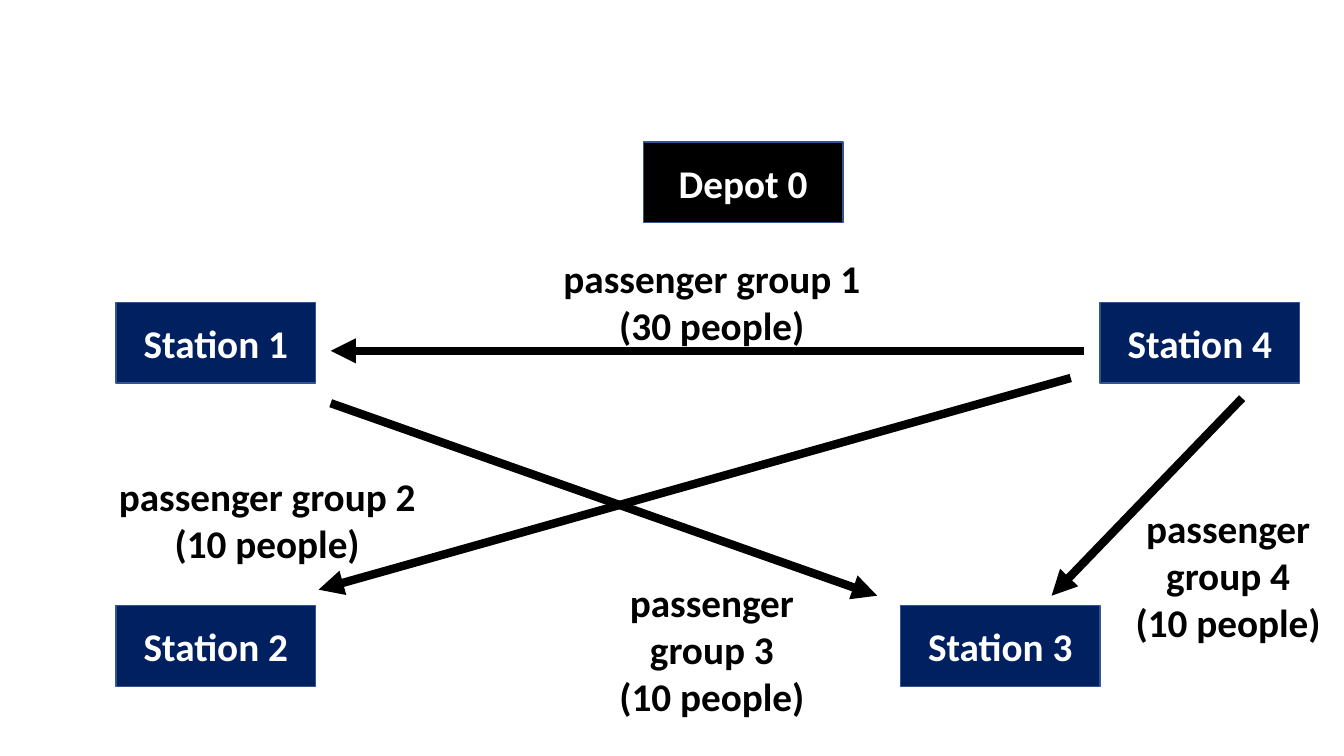
from lxml import etree
from pptx import Presentation
from pptx.dml.color import RGBColor
from pptx.enum.shapes import MSO_CONNECTOR, MSO_SHAPE
from pptx.enum.text import MSO_ANCHOR, MSO_AUTO_SIZE, PP_ALIGN
from pptx.oxml.ns import qn
from pptx.util import Pt

PX = 9144
FONT = "Calibri"
RECT = MSO_SHAPE.RECTANGLE
LINE = MSO_CONNECTOR.STRAIGHT
MID = MSO_ANCHOR.MIDDLE
GROW = MSO_AUTO_SIZE.SHAPE_TO_FIT_TEXT
CENTER = PP_ALIGN.CENTER

NAVY = RGBColor(0x00, 0x20, 0x60)
BLUE = RGBColor(0x32, 0x54, 0x91)
BLACK = RGBColor(0x00, 0x00, 0x00)
WHITE = RGBColor(0xFF, 0xFF, 0xFF)

BOX_W, BOX_H = 198, 80
LEFT, RIGHT = 115, 1091
UPPER, LOWER = 300, 601

STOPS = [
    ("Station 1", LEFT, UPPER, NAVY),
    ("Station 2", LEFT, LOWER, NAVY),
    ("Depot 0", 638, 141, BLACK),
    ("Station 4", RIGHT, UPPER, NAVY),
    ("Station 3", RIGHT - BOX_W, LOWER, NAVY),
]
TRIPS = [
    (1075, 348, 328, 348),
    (328, 400, 870, 591),
    (1232, 395, 1043, 591),
    (1062, 375, 316, 585),
]
GROUPS = [
    (4, 10, 1099, 495, 238, 151),
    (3, 10, 587, 569, 238, 151),
    (2, 10, 100, 464, 330, 104),
    (1, 30, 541, 247, 330, 104),
]


def emu(*sizes):
    return [size * PX for size in sizes]


def add_run(para, text, color):
    para.alignment = CENTER
    run = para.add_run()
    run.text = text
    font = run.font
    font.name = FONT
    font.size = Pt(28)
    font.bold = True
    font.color.rgb = color


def add_stop(slide, name, x, y, fill):
    box = slide.shapes.add_shape(RECT, *emu(x, y, BOX_W, BOX_H))
    box.shadow.inherit = False
    box.fill.solid()
    box.fill.fore_color.rgb = fill
    box.line.color.rgb = BLUE
    box.line.width = Pt(1)
    frame = box.text_frame
    frame.vertical_anchor = MID
    add_run(frame.paragraphs[0], name, WHITE)


def add_trip(slide, *ends):
    trip = slide.shapes.add_connector(LINE, *emu(*ends))
    trip.line.color.rgb = BLACK
    trip.line.width = Pt(6)
    props = trip.element.spPr
    head = etree.SubElement(props.find(qn("a:ln")), qn("a:tailEnd"))
    head.set("type", "triangle")
    etree.SubElement(props, qn("a:effectLst"))


def add_group(slide, number, people, *place):
    frame = slide.shapes.add_textbox(*emu(*place)).text_frame
    frame.word_wrap = True
    frame.auto_size = GROW
    add_run(frame.paragraphs[0], f"passenger group {number}", BLACK)
    add_run(frame.add_paragraph(), f"({people} people)", BLACK)


def main():
    deck = Presentation()
    deck.slide_width, deck.slide_height = emu(1333, 750)
    slide = deck.slides.add_slide(deck.slide_layouts[6])
    for stop in STOPS:
        add_stop(slide, *stop)
    for trip in TRIPS:
        add_trip(slide, *trip)
    for group in GROUPS:
        add_group(slide, *group)
    deck.save("out.pptx")


if __name__ == "__main__":
    main()
